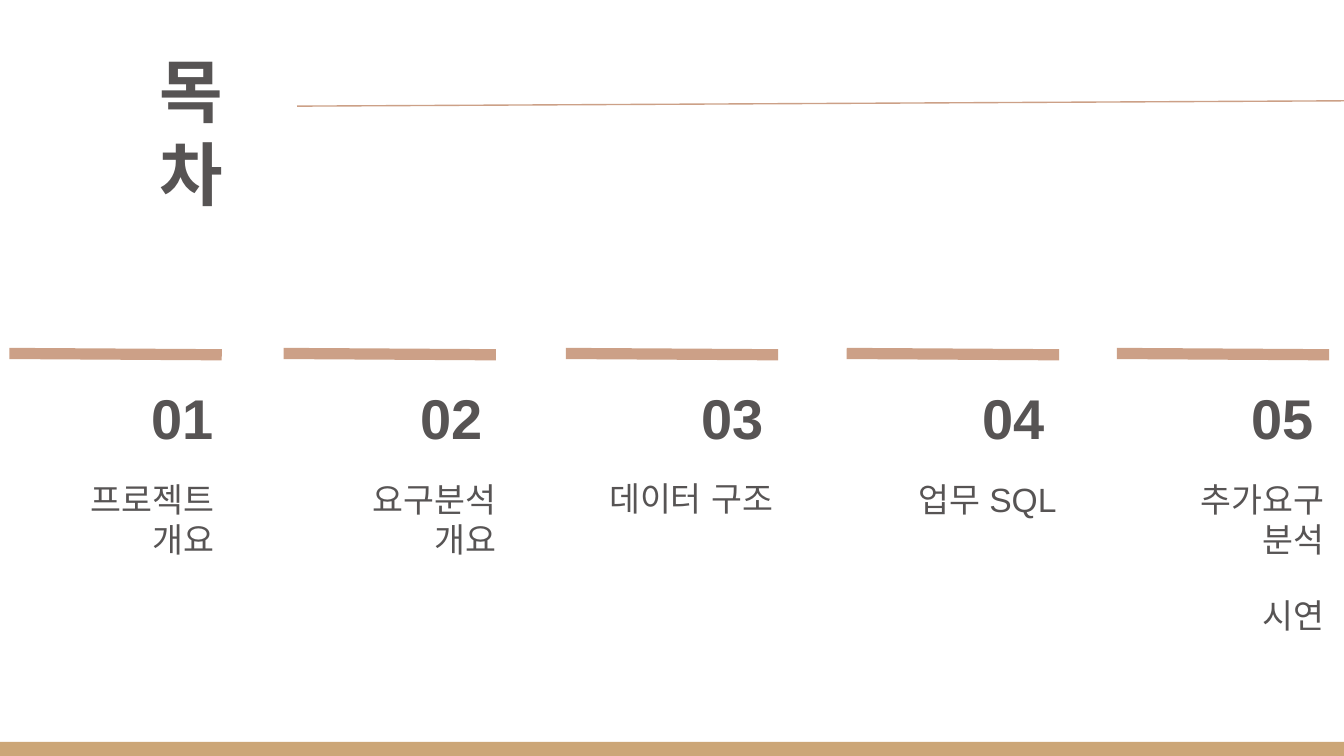
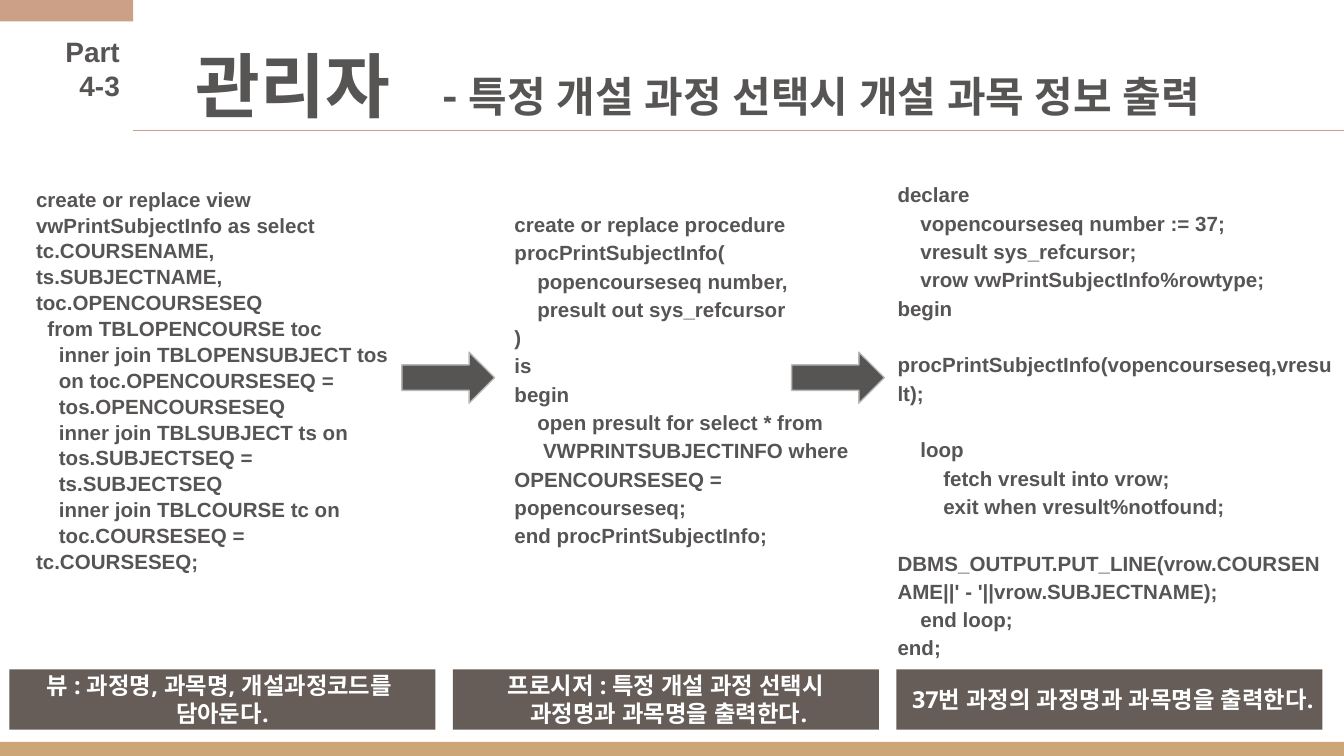
from lxml import etree
from pptx import Presentation
from pptx.dml.color import RGBColor
from pptx.enum.shapes import MSO_CONNECTOR as Connector, MSO_SHAPE as Shape
from pptx.enum.text import MSO_ANCHOR as Anchor, MSO_AUTO_SIZE as AutoSize, PP_ALIGN as Align
from pptx.oxml.ns import qn
from pptx.util import Inches, Pt

# Shared look
WIDTH = 10
HEIGHT = WIDTH * 9 / 16
GOLD, CLAY, INK = "CCA677", "CCA087", "575454"
BROWN, GREY, WHITE = "665D59", "B7B7B7", "FFFFFF"
SPACES_PER_INCH = 23.5  # code spaces in one inch
BLANK_LINE = 15.2  # height of one empty code line in points

# Contents slide: bar left, number (text, left, right edge), labels (text, left, top, width, height)
CHAPTERS = [
    (0.07, ("01", 0.38, 1.69), [("프로젝트 개요", 0.24, 3.46, 1.45, 0.81)]),
    (2.11, ("02", 2.69, 3.69), [("요구분석 개요", 2.36, 3.46, 1.43, 0.81)]),
    (4.21, ("03", 5.02, 5.78), [("데이터 구조", 4.28, 3.46, 1.57, 0.5)]),
    (6.3, ("04", 7.01, 7.87), [("업무 SQL", 6.6, 3.46, 1.36, 0.81)]),
    (8.31, ("05", 8.38, 9.87), [("추가요구 분석", 8.7, 3.46, 1.25, 0.81),
                                ("시연", 8.7, 4.33, 1.25, 0.5)]),
]
BAR_WIDTH = 1.58

# Code slide: each code line is (indent in spaces, text) plus True after an empty line
VIEW_CODE = [
    (0, "create or replace view vwPrintSubjectInfo as select tc.COURSENAME,"),
    (0, "ts.SUBJECTNAME,"),
    (0, "toc.OPENCOURSESEQ"),
    (2, "from TBLOPENCOURSE toc"),
    (4, "inner join TBLOPENSUBJECT tos"),
    (4, "on toc.OPENCOURSESEQ ="),
    (4, "tos.OPENCOURSESEQ"),
    (4, "inner join TBLSUBJECT ts on"),
    (4, "tos.SUBJECTSEQ ="),
    (4, "ts.SUBJECTSEQ"),
    (4, "inner join TBLCOURSE tc on"),
    (4, "toc.COURSESEQ = tc.COURSESEQ;"),
]
PROCEDURE_CODE = [
    (0, "create or replace procedure procPrintSubjectInfo("),
    (4, "popencourseseq number,"),
    (4, "presult out sys_refcursor"),
    (0, ")"),
    (0, "is"),
    (0, "begin"),
    (4, "open presult for select * from"),
    (5, "VWPRINTSUBJECTINFO where OPENCOURSESEQ = popencourseseq;"),
    (0, "end procPrintSubjectInfo;"),
]
CALL_CODE = [
    (0, "declare"),
    (4, "vopencourseseq number := 37;"),
    (4, "vresult sys_refcursor;"),
    (4, "vrow vwPrintSubjectInfo%rowtype;"),
    (0, "begin"),
    (0, "procPrintSubjectInfo(vopencourseseq,vresult);", True),
    (4, "loop", True),
    (8, "fetch vresult into vrow;"),
    (8, "exit when vresult%notfound;"),
    (0, "DBMS_OUTPUT.PUT_LINE(vrow.COURSENAME||' - '||vrow.SUBJECTNAME);", True),
    (4, "end loop;"),
    (0, "end;"),
]
# Code lines, box, line spacing, box grows with its text
CODE_BLOCKS = [
    (VIEW_CODE, (0.17, 1.28, 2.97, 4.05), 1.05, False),
    (PROCEDURE_CODE, (3.73, 1.45, 2.8, 2.73), 1.15, True),
    (CALL_CODE, (6.58, 1.23, 3.44, 3.79), 1.15, True),
]
CAPTIONS = [
    ["뷰 : 과정명, 과목명, 개설과정코드를 ", "담아둔다."],
    ["프로시저 : 특정 개설 과정 선택시", " 과정명과 과목명을 출력한다."],
    ["37번 과정의 과정명과 과목명을 출력한다."],
]
ARROW_LEFTS = [2.99, 5.89]
TITLE = [("관리자", 37.7), ("\t", 33.8), ("- 특정 개설 과정 선택시 개설 과목 정보 출력", 22.5)]


def color(value):
    return RGBColor.from_string(value)


def add_run(paragraph, text, size, font="Arial", ink=INK, bold=True):
    run = paragraph.add_run()
    run.text = text
    run.font.size, run.font.name, run.font.bold = Pt(size), font, bold
    run.font.color.rgb = color(ink)
    east_asian = etree.SubElement(run.font._element, qn("a:ea"))
    east_asian.set("typeface", font)


def write(shape, lines, size, align=Align.LEFT, anchor=Anchor.TOP, inset=0.1,
          spacing=None, grow=False, **font):
    """Fill a shape; a line is a string or (indent, text[, after an empty line])."""
    frame = shape.text_frame
    frame.word_wrap, frame.vertical_anchor = True, anchor
    frame.auto_size = AutoSize.SHAPE_TO_FIT_TEXT if grow else AutoSize.NONE
    frame.margin_left = frame.margin_right = Inches(0.1)
    frame.margin_top = frame.margin_bottom = Inches(inset)
    for number, line in enumerate(lines):
        indent, text, *after_gap = (0, line) if isinstance(line, str) else line
        paragraph = frame.add_paragraph() if number else frame.paragraphs[0]
        paragraph.alignment = align
        if spacing:
            paragraph.line_spacing = spacing
        if after_gap:
            paragraph.space_before = Pt(BLANK_LINE)
        if indent:
            properties = paragraph._p.get_or_add_pPr()
            properties.set("marL", "0")
            properties.set("indent", str(Inches(indent / SPACES_PER_INCH)))
        add_run(paragraph, text, size, **font)


def add_text(slide, box, lines, size, **options):
    shape = slide.shapes.add_textbox(*map(Inches, box))
    write(shape, lines, size, **options)
    return shape


def add_block(slide, box, fill, kind=Shape.RECTANGLE, outline=None):
    shape = slide.shapes.add_shape(kind, *map(Inches, box))
    shape.shadow.inherit = False
    shape.fill.solid()
    shape.fill.fore_color.rgb = color(fill)
    if outline:
        shape.line.color.rgb = color(outline)
        shape.line.width = Pt(0.75)
    else:
        shape.line.fill.background()
    return shape


def add_line(slide, start, end, width=0.75):
    line = slide.shapes.add_connector(Connector.STRAIGHT, *map(Inches, start + end))
    line.line.color.rgb = color(CLAY)
    line.line.width = Pt(width)
    etree.SubElement(line._element.spPr, qn("a:effectLst"))


def new_slide(presentation):
    slide = presentation.slides.add_slide(presentation.slide_layouts[6])
    slide.background.fill.solid()
    slide.background.fill.fore_color.rgb = color(WHITE)
    add_block(slide, (0, 5.52, WIDTH, HEIGHT - 5.52), GOLD)
    return slide


def build_contents(presentation):
    slide = new_slide(presentation)
    add_line(slide, (2.21, 0.79), (WIDTH, 0.75))
    add_text(slide, (1.09, 0.31, 0.96, 1.35), ["목차"], 37, inset=0.05, grow=True)
    for bar_left, (number, left, right), labels in CHAPTERS:
        add_line(slide, (bar_left, 2.63), (bar_left + BAR_WIDTH, 2.64), width=6)
        add_text(slide, (left, 2.75, right - left, 0.71), [number], 30,
                 align=Align.RIGHT, grow=True)
        for label, *box in labels:
            add_text(slide, box, [label], 18, align=Align.RIGHT, grow=True, bold=False)


def build_code(presentation):
    slide = new_slide(presentation)

    # Heading with its part number
    heading = add_text(slide, (1.36, 0.45, 8.43, 0.59), [], 0, anchor=Anchor.BOTTOM)
    paragraph = heading.text_frame.paragraphs[0]
    for text, size in TITLE:
        add_run(paragraph, text, size, font="Roboto")
    tabs = etree.SubElement(paragraph._p.get_or_add_pPr(), qn("a:tabLst"))
    etree.SubElement(tabs, qn("a:tab"), pos=str(Inches(1.83)), algn="l")
    add_block(slide, (0, 0, 0.99, 0.16), CLAY)
    add_text(slide, (0.38, 0.16, 0.61, 0.71), ["Part 4-3"], 15, align=Align.RIGHT, grow=True)
    add_line(slide, (0.99, 0.97), (10.02, 0.97))

    # Captions, arrows and code
    for column, lines in enumerate(CAPTIONS):
        caption = add_block(slide, (0.07 + 3.3 * column, 4.98, 3.17, 0.45), BROWN)
        write(caption, lines, 12.5, align=Align.CENTER, anchor=Anchor.MIDDLE,
              inset=0.05, font="Open Sans", ink=WHITE)
    for left in ARROW_LEFTS:
        add_block(slide, (left, 2.62, 0.69, 0.38), INK, Shape.RIGHT_ARROW, outline=GREY)
    for lines, box, spacing, grow in CODE_BLOCKS:
        add_text(slide, box, lines, 11, spacing=spacing, grow=grow)


def main():
    presentation = Presentation()
    presentation.slide_width, presentation.slide_height = Inches(WIDTH), Inches(HEIGHT)
    build_contents(presentation)
    build_code(presentation)
    presentation.save("out.pptx")


if __name__ == "__main__":
    main()
